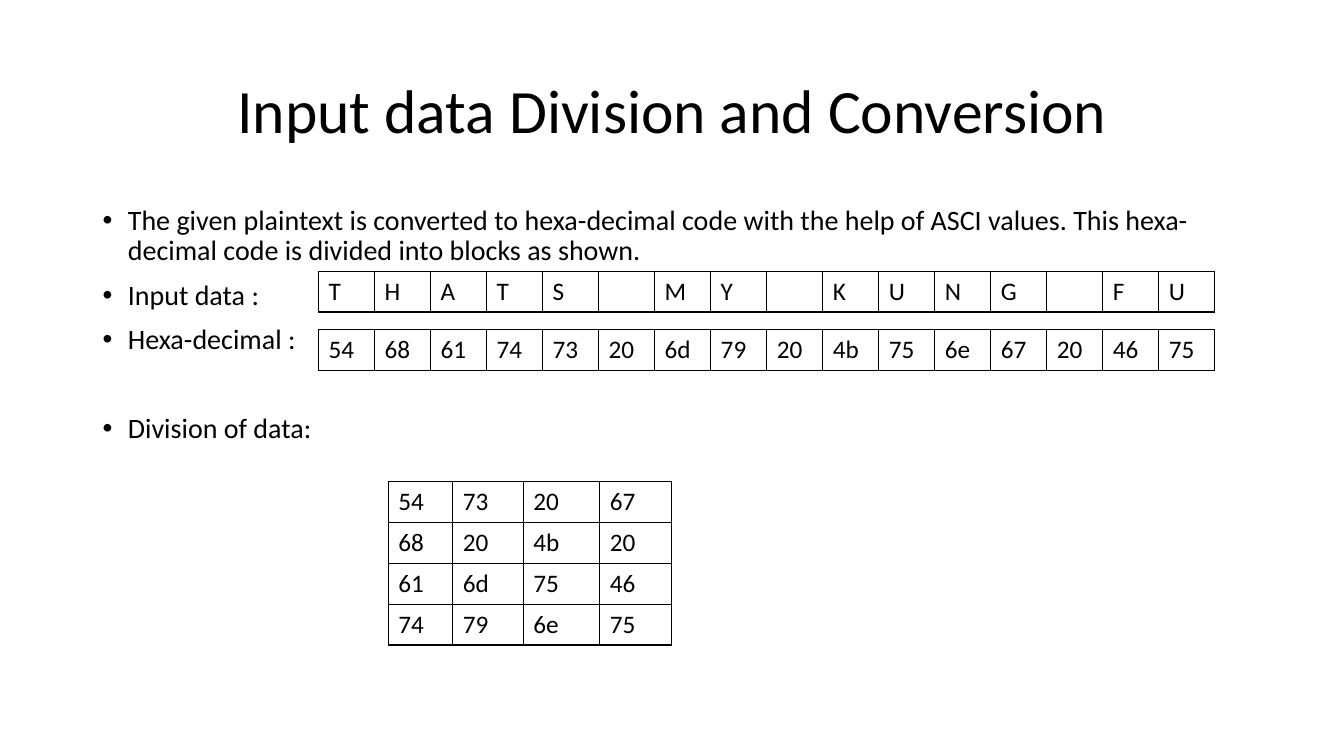
from lxml.etree import SubElement
from pptx import Presentation
from pptx.dml.color import RGBColor
from pptx.enum.text import MSO_ANCHOR as Anchor, PP_ALIGN as Align
from pptx.oxml.ns import qn
from pptx.util import Inches, Pt

COLORS = {"ink": "000000", "paper": "FFFFFF"}
FONT = "Calibri"
ROW_HEIGHT = 0.405


def style_text(paragraph, size):
    for run in paragraph.runs:
        run.font.name = FONT
        run.font.size = Pt(size)
        run.font.color.rgb = RGBColor.from_string(COLORS["ink"])


def add_code_grid(slide, left, top, widths, rows):
    frame = slide.shapes.add_table(
        len(rows), len(widths), Inches(left), Inches(top),
        Inches(sum(widths)), Inches(ROW_HEIGHT * len(rows)))
    grid = frame.table
    grid.first_row = grid.horz_banding = False
    for column, width in zip(grid.columns, widths):
        column.width = Inches(width)
    for r, values in enumerate(rows):
        grid.rows[r].height = Inches(ROW_HEIGHT)
        for c, value in enumerate(values):
            cell = grid.cell(r, c)
            cell.text = value
            style_text(cell.text_frame.paragraphs[0], 18)
            properties = cell._tc.get_or_add_tcPr()
            for side in ("a:lnL", "a:lnR", "a:lnT", "a:lnB"):
                border = SubElement(properties, qn(side), w=str(Pt(1)))
                solid = SubElement(border, qn("a:solidFill"))
                SubElement(solid, qn("a:srgbClr"), val=COLORS["ink"])
            cell.fill.background()


prs = Presentation()
prs.slide_width, prs.slide_height = Inches(13.33), Inches(7.5)
slide = prs.slides.add_slide(prs.slide_layouts[6])
slide.background.fill.solid()
slide.background.fill.fore_color.rgb = RGBColor.from_string(COLORS["paper"])

margin, content_width = Inches(0.92), Inches(11.5)
title = slide.shapes.add_textbox(margin, Inches(0.4), content_width, Inches(1.45)).text_frame
title.word_wrap = True
title.vertical_anchor = Anchor.MIDDLE
title.text = "Input data Division and Conversion"
heading = title.paragraphs[0]
heading.alignment = Align.CENTER
heading.line_spacing = 0.9
style_text(heading, 44)

steps = [
    ("The given plaintext is converted to hexa-decimal code with the help of ASCI values. "
     "This hexa-decimal code is divided into blocks as shown.", 10),
    ("Input data :", 10),
    ("Hexa-decimal :", 10),
    ("Division of data:", 42),
]
body = slide.shapes.add_textbox(margin, Inches(2), content_width, Inches(4.76)).text_frame
body.word_wrap = True
body.text = "\n".join(text for text, gap in steps)
for step, (text, gap) in zip(body.paragraphs, steps):
    step.line_spacing = 0.9
    step.space_before = Pt(gap)
    style_text(step, 20)
    layout = step._p.get_or_add_pPr()
    layout.set("marL", str(Inches(0.25)))
    layout.set("indent", str(-Inches(0.25)))
    SubElement(layout, qn("a:buFont"), typeface="Arial")
    SubElement(layout, qn("a:buChar"), char="•")

plaintext = "Thats my Kung Fu"
letters = [letter.strip().upper() for letter in plaintext]
codes = [format(ord(letter), "02x") for letter in plaintext]
block = [codes[r::4] for r in range(4)]

strip_widths = [8.89 / len(plaintext)] * len(plaintext)
for top, values in ((2.69, letters), (3.27, codes)):
    add_code_grid(slide, 3.16, top, strip_widths, [values])
add_code_grid(slide, 3.85, 4.78, [0.64, 0.7, 0.76, 0.71], block)

prs.save("out.pptx")
